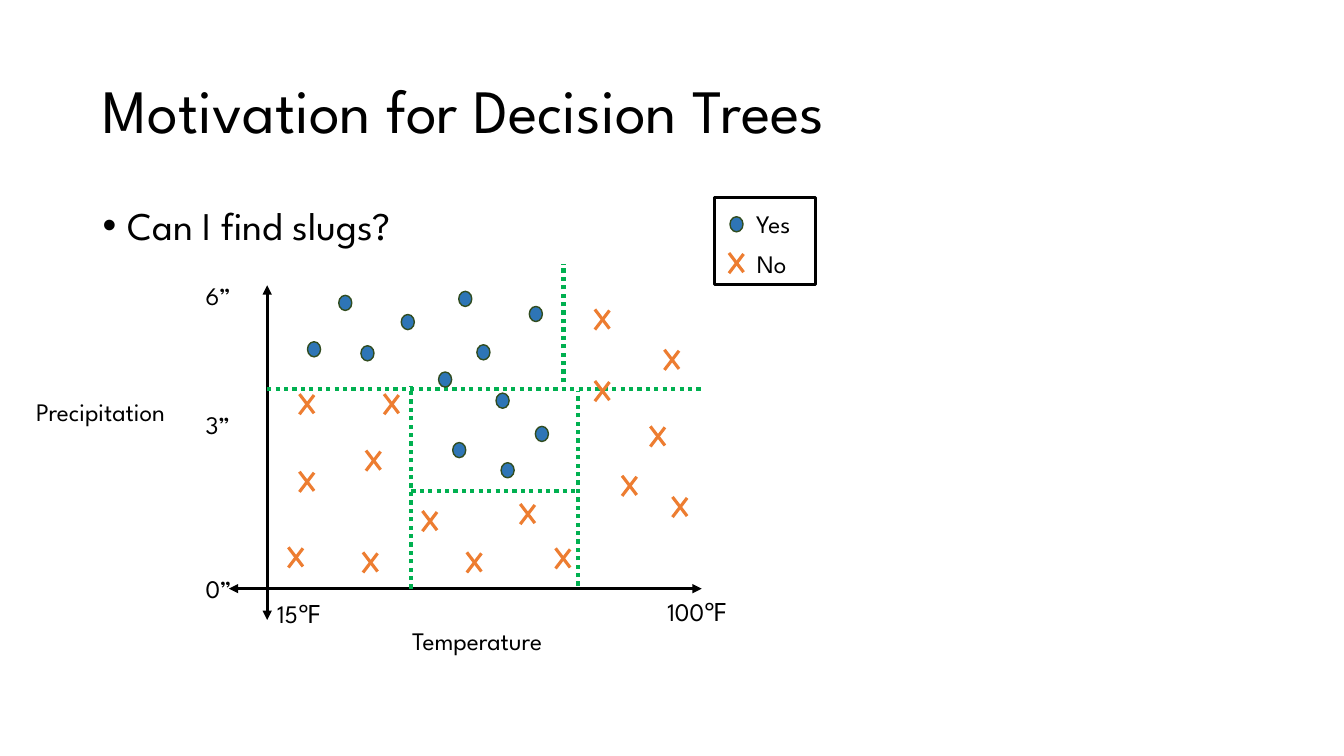
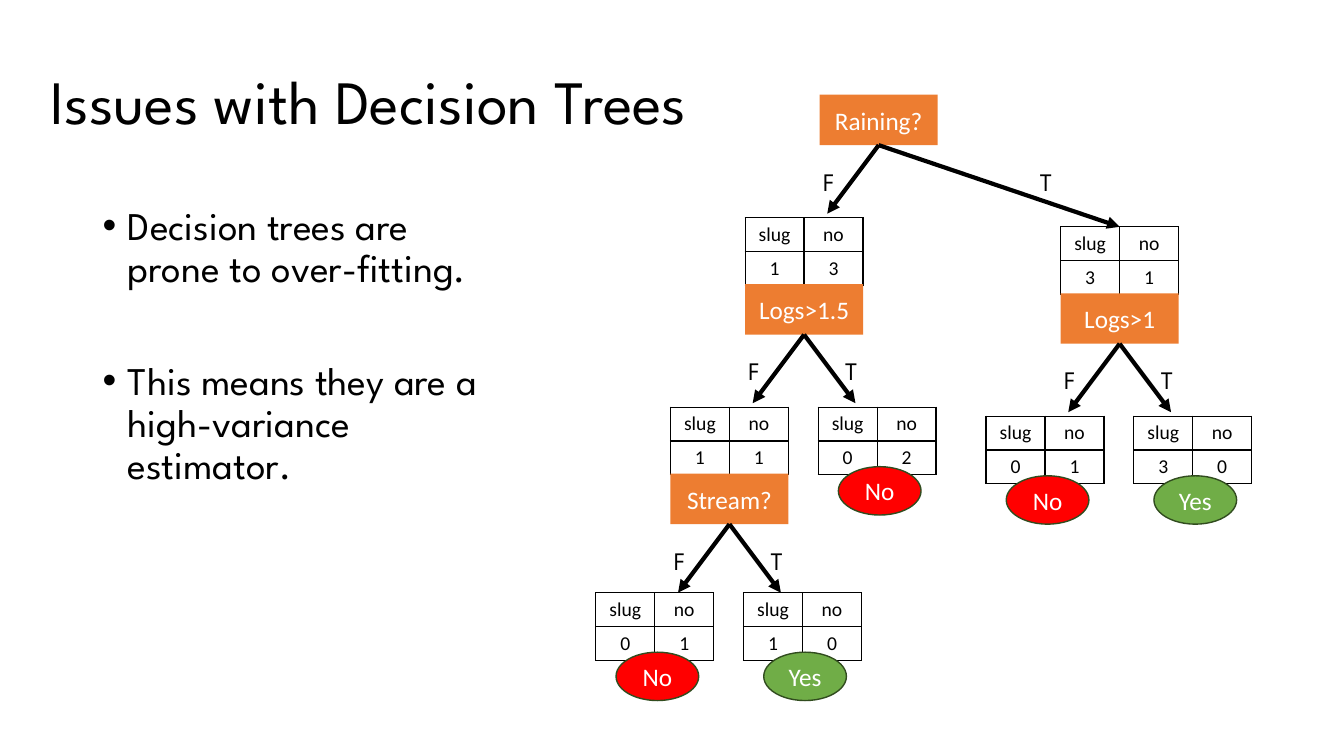
"""Build two slides on decision trees: a split scatter plot and an over-fitted tree."""
from dataclasses import dataclass, field

from lxml import etree
from pptx import Presentation, util as u
from pptx.dml.color import RGBColor
from pptx.enum import dml, shapes, text
from pptx.oxml import ns

CELL = u.Inches(0.1)
HUES = {
    "ink": "000000", "paper": "FFFFFF", "split": "00B050", "dot": "2E75B6",
    "rim": "314C1F", "cross": "ED7D31", "box": "ED7D31", "Yes": "70AD47", "No": "FF0000",
}
HEAD, PLAIN = "League Spartan", "Calibri"
MID, LEFT = text.PP_ALIGN.CENTER, text.PP_ALIGN.LEFT
KIND = shapes.MSO_SHAPE

YES = [(30.5, 33.9), (33.6, 29.3), (35.8, 34.3), (39.8, 31.2), (45.5, 28.9), (47.3, 34.2),
       (49.7, 45.9), (52.5, 30.4), (43.5, 36.9), (49.2, 39), (53.1, 42.3), (44.9, 43.9)]
NO = [(66.7, 49.3), (61.7, 47.2), (64.5, 42.3), (59, 37.8), (65.9, 34.7), (59, 30.7),
      (28.6, 54.3), (29.7, 46.8), (41.9, 50.7), (51.6, 50), (55.1, 54.4), (36.3, 44.7),
      (38.1, 39.1), (29.7, 39.1), (36, 54.8), (46.3, 54.8)]
AXES = [(26.5, 28.3, 26.5, 61.5), (69.6, 58.4, 22.7, 58.4)]
SPLITS = [(40.8, 48.7, 57.3, 48.7), (57.3, 58.1, 57.3, 38.8), (40.8, 58.4, 40.8, 38.3),
          (55.9, 37.9, 55.9, 26.2), (26.5, 38.6, 69.6, 38.6)]
LABELS = [("Temperature", 39.9, 61.5, 16.3), ("Precipitation", 2.6, 38.8, 16.1),
          ("6”", 19.4, 27.3, 4.9), ("3”", 19.4, 40.1, 4.9), ("0”", 19.4, 56.4, 4.9),
          ("100℉", 65.2, 58.7, 8.8), ("15℉", 26.5, 58.9, 7.1),
          ("Yes", 74, 20.2, 5.8), ("No", 74.1, 24.1, 5.7)]

# Per branch: label shift, arrow tip across and down, table across and down.
FORK = {"F": (-6.5, -5.1, 6.8, -13.25, 7.2), "T": (3.1, 5.1, 6.8, 1.4, 7.2)}
WIDE = {**FORK, "T": (15, 23.9, 8.1, 18.05, 8.1)}
LOW = {key: (*val[:4], 6.8) for key, val in FORK.items()}


@dataclass
class Node:
    """Hold one tree node: its label, slug counts, children and fork shape."""
    name: str
    count: tuple = ()
    kids: list = field(default_factory=list)
    fork: dict = field(default_factory=lambda: FORK)


TREE = Node("Raining?", fork=WIDE, kids=[
    Node("Logs>1.5", (1, 3), [
        Node("Stream?", (1, 1), [Node("No", (0, 1)), Node("Yes", (1, 0))], LOW),
        Node("No", (0, 2))]),
    Node("Logs>1", (3, 1), [Node("No", (0, 1)), Node("Yes", (3, 0))])])


def at(*cells):
    """Turn grid cells into lengths."""
    return [int(CELL * n) for n in cells]


def hue(name):
    """Look up a colour by name."""
    return RGBColor.from_string(HUES[name])


def style(item, **vals):
    """Set each given attribute on an item."""
    for key, val in vals.items():
        setattr(item, key, val)


def write(para, words, size, face=HEAD, tint="ink", **vals):
    """Fill a paragraph with one formatted run."""
    run = para.add_run()
    style(run, text=words)
    style(run.font, size=u.Pt(size), name=face)
    run.font.color.rgb = hue(tint)
    style(para, **vals)


def label(slide, words, x, y, wide):
    """Add a short line of text."""
    frame = slide.shapes.add_textbox(*at(x, y, wide, 4)).text_frame
    frame.word_wrap = True
    write(frame.paragraphs[0], words, 18)


def title(slide, words, x, y):
    """Place and format the slide title."""
    head = slide.shapes.title
    style(head, **dict(zip(("left", "top", "width", "height"), at(x, y, 115, 14.5))))
    style(head.text_frame, vertical_anchor=text.MSO_ANCHOR.MIDDLE,
          auto_size=text.MSO_AUTO_SIZE.NONE, word_wrap=True)
    write(head.text_frame.paragraphs[0], words, 44, alignment=LEFT, line_spacing=0.9)


def points(slide, items, wide, high):
    """Add a bulleted list of (words, space before) items."""
    frame = slide.shapes.add_textbox(*at(9.2, 20, wide, high)).text_frame
    frame.word_wrap = True
    for i, (words, gap) in enumerate(items):
        para = frame.add_paragraph() if i else frame.paragraphs[0]
        write(para, words, 28, line_spacing=0.9, space_before=u.Pt(gap))
        props = para._p.get_or_add_pPr()
        props.set("marL", str(u.Inches(0.25)))
        props.set("indent", str(-u.Inches(0.25)))
        etree.SubElement(props, ns.qn("a:buFont"), typeface="Arial")
        etree.SubElement(props, ns.qn("a:buChar"), char="•")


def line(home, ends, tint, width, tips=(), dash=None):
    """Draw a straight line with optional arrowheads and dashes."""
    link = home.shapes.add_connector(shapes.MSO_CONNECTOR.STRAIGHT, *at(*ends))
    style(link.line, width=u.Pt(width), dash_style=dash)
    link.line.color.rgb = hue(tint)
    for tip in tips:
        etree.SubElement(link.line._get_or_add_ln(), ns.qn("a:" + tip), type="triangle")
    etree.SubElement(link._element.spPr, ns.qn("a:effectLst"))
    return link


def block(slide, kind, place, fill=None, rim=None, width=1, words=""):
    """Draw a preset shape with optional fill, outline and centred text."""
    item = slide.shapes.add_shape(kind, *at(*place))
    item.shadow.inherit = False
    for part, tint in ((item.fill, fill), (item.line.fill, rim)):
        if tint:
            part.solid()
            part.fore_color.rgb = hue(tint)
        else:
            part.background()
    if rim:
        item.line.width = u.Pt(width)
    if words:
        style(item.text_frame, vertical_anchor=text.MSO_ANCHOR.MIDDLE, word_wrap=True)
        write(item.text_frame.paragraphs[0], words, 18, PLAIN, "paper", alignment=MID)
    return item


def dot(slide, x, y):
    """Mark a place with slugs."""
    block(slide, KIND.OVAL, (x, y, 1.3, 1.5), "dot", "rim")


def cross(slide, x, y):
    """Mark a place without slugs."""
    group = slide.shapes.add_group_shape()
    for top, end in ((y, y + 1.9), (y + 2, y + 0.1)):
        line(group, (x, top, x + 1.45, end), "cross", 2.25)


def border(cell):
    """Give a cell thin lines on all sides and no fill."""
    props = cell._tc.get_or_add_tcPr()
    for side in ("lnL", "lnR", "lnT", "lnB"):
        edge = etree.SubElement(props, ns.qn("a:" + side), w=str(u.Pt(1)))
        fill = etree.SubElement(edge, ns.qn("a:solidFill"))
        etree.SubElement(fill, ns.qn("a:srgbClr"), val=HUES["ink"])
    cell.fill.background()


def tally(slide, x, y, count):
    """Add a table of slug and no counts."""
    table = slide.shapes.add_table(2, 2, *at(x, y, 11.7, 6.7)).table
    style(table, first_row=False, horz_banding=False)
    for r, row in enumerate((("slug", "no"), count)):
        for c, val in enumerate(row):
            cell = table.cell(r, c)
            border(cell)
            write(cell.text_frame.paragraphs[0], str(val), 14, PLAIN, alignment=MID)


def grow(slide, node, x, y):
    """Draw a node and, below it, its branches."""
    if node.count:
        tally(slide, x, y, node.count)
    if not node.kids:
        block(slide, KIND.OVAL, (x + 2, y + 5.9, 8.2, 4.8), node.name, "rim", words=node.name)
        return
    top = y + 6.6 if node.count else y
    box = block(slide, KIND.RECTANGLE, (x, top, 11.7, 5), "box", words=node.name)
    mid, base = x + 5.85, top + 5
    for kid, (mark, (shift, tip, drop, over, down)) in zip(node.kids, node.fork.items()):
        ends = (mid, base, mid + tip, base + drop)
        line(slide, ends, "ink", 3, ["tailEnd"]).begin_connect(box, 2)
        label(slide, mark, mid + shift, base + 1.6, 3.3)
        grow(slide, kid, mid + over, base + down)


def plot(slide):
    """Draw the scatter plot with its splits and legend."""
    title(slide, "Motivation for Decision Trees", 9.2, 4)
    points(slide, [("Can I find slugs?", 10)], 115, 6.2)
    for ends in AXES:
        line(slide, ends, "ink", 2.25, ["headEnd", "tailEnd"])
    for ends in SPLITS:
        line(slide, ends, "split", 3, dash=dml.MSO_LINE.ROUND_DOT)
    for spot in YES + [(72.4, 21.5)]:
        dot(slide, *spot)
    for spot in NO + [(72.3, 25.1)]:
        cross(slide, *spot)
    for item in LABELS:
        label(slide, *item)
    block(slide, KIND.RECTANGLE, (70.9, 19.6, 10, 8.6), rim="ink", width=2.25)


def issues(slide):
    """Draw the over-fitted tree beside its two points."""
    title(slide, "Issues with Decision Trees", 4, 3.1)
    points(slide, [("Decision trees are prone to over-fitting.", 10),
                   ("This means they are a high-variance estimator.", 50)], 39.3, 47.6)
    grow(slide, TREE, 81.3, 9.4)


def main():
    """Build and save the deck."""
    deck = Presentation()
    style(deck, slide_width=u.Inches(13.33), slide_height=u.Inches(7.5))
    for draw in (plot, issues):
        draw(deck.slides.add_slide(deck.slide_layouts[5]))
    deck.save("out.pptx")


if __name__ == "__main__":
    main()
